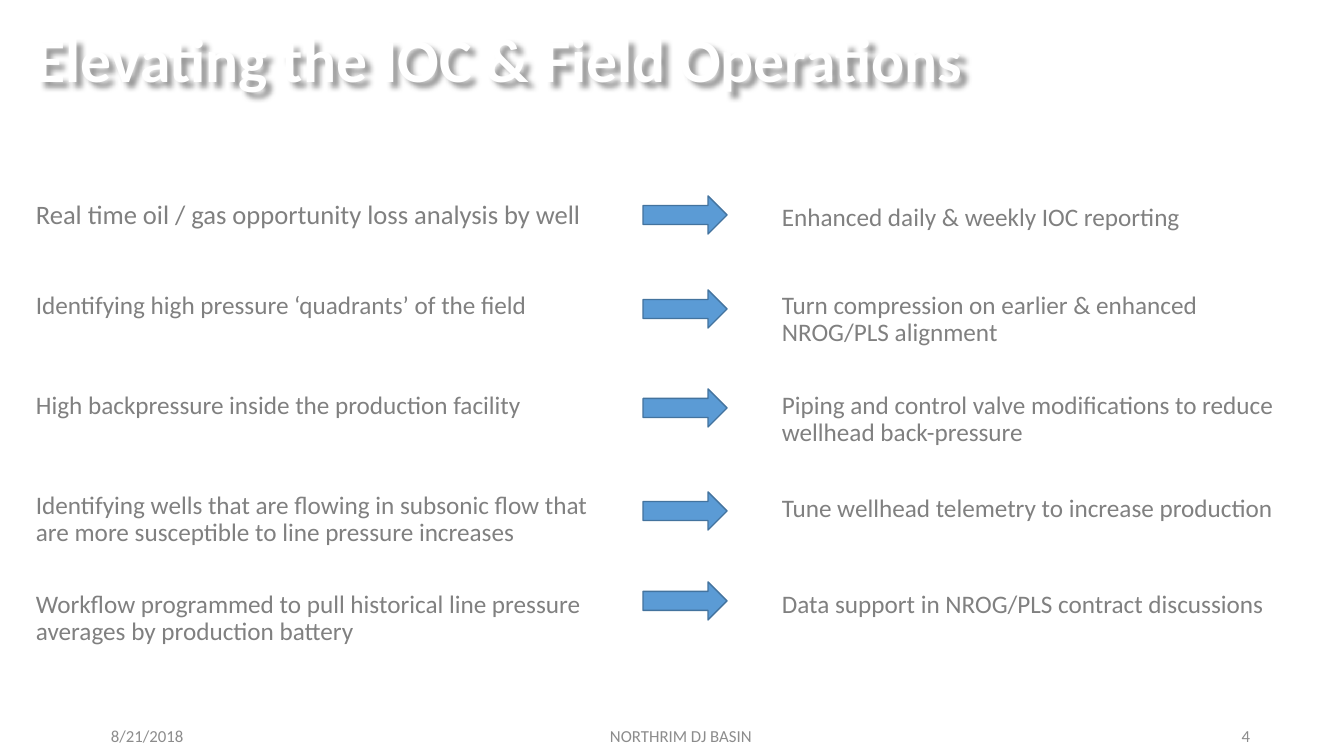
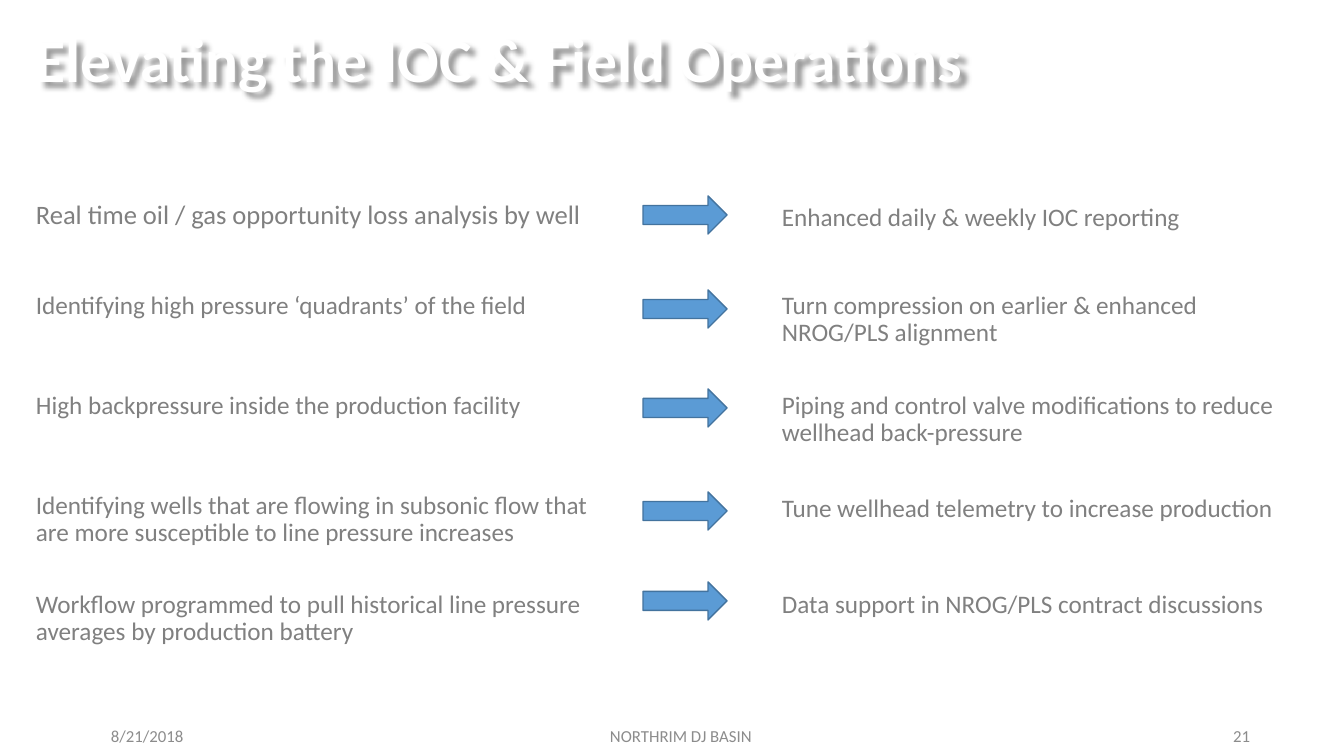
import pptx
import pptx.util
import pptx.oxml
import pptx.oxml.ns
import pptx.dml.color
import pptx.enum.shapes
import pptx.enum.text
import lxml.etree

# Shared look
COLORS = {
    "title": "FFFFFF",
    "body": "808080",
    "footer": "8C8C8C",
    "arrow": "5B9BD5",
    "edge": "43739E",
    "shadow": "000000",
}
FONT = "Calibri"
PX = 914400 / 100.8
ALIGN = pptx.enum.text.PP_ALIGN
ANCHOR = pptx.enum.text.MSO_ANCHOR

# Columns: left and width
CAUSE = (26, 572)
ARROW = (643, 84)
GAIN = (772, 525)

# Rows: cause top, arrow top, gain top, cause, gain
ROWS = [
    (197, 196, 200, "Real time oil / gas opportunity loss analysis by well",
     "Enhanced daily & weekly IOC reporting"),
    (288, 290, 288, "Identifying high pressure ‘quadrants’ of the field",
     "Turn compression on earlier & enhanced NROG/PLS alignment"),
    (388, 389, 388, "High backpressure inside the production facility",
     "Piping and control valve modifications to reduce wellhead back-pressure"),
    (488, 492, 491, "Identifying wells that are flowing in subsonic flow "
     "that are more susceptible to line pressure increases",
     "Tune wellhead telemetry to increase production"),
    (587, 582, 587, "Workflow programmed to pull historical line pressure "
     "averages by production battery",
     "Data support in NROG/PLS contract discussions"),
]


def px(count):
    return pptx.util.Emu(round(count * PX))


def color(name):
    return pptx.dml.color.RGBColor.from_string(COLORS[name])


def add_text(slide, text, left, top, width, height, size=18, tone="body",
             bold=False, align=ALIGN.LEFT, anchor=ANCHOR.TOP, spacing=0.9):
    box = slide.shapes.add_textbox(px(left), px(top), px(width), px(height))
    frame = box.text_frame
    frame.word_wrap = True
    frame.vertical_anchor = anchor
    para = frame.paragraphs[0]
    para.text = text
    para.alignment = align
    para.line_spacing = spacing
    para.font.name = FONT
    para.font.size = pptx.util.Pt(size)
    para.font.bold = bold
    para.font.color.rgb = color(tone)
    return box


def add_shadow(box):
    """Soft shadow to the lower right, cast by the text of an unfilled box."""
    box.shadow.inherit = False
    qn = pptx.oxml.ns.qn
    effects = box.element.spPr.find(qn("a:effectLst"))
    outer = lxml.etree.SubElement(effects, qn("a:outerShdw"), blurRad="50800",
                                  dist="50800", dir="2700000", algn="tl")
    shade = lxml.etree.SubElement(outer, qn("a:srgbClr"), val=COLORS["shadow"])
    lxml.etree.SubElement(shade, qn("a:alpha"), val="40000")


def add_arrow(slide, top):
    left, width = ARROW
    arrow = slide.shapes.add_shape(
        pptx.enum.shapes.MSO_SHAPE.RIGHT_ARROW,
        px(left), px(top), px(width), px(38))
    arrow.shadow.inherit = False
    arrow.fill.solid()
    arrow.fill.fore_color.rgb = color("arrow")
    arrow.line.color.rgb = color("edge")
    arrow.line.width = pptx.util.Pt(1)


def add_title(slide, text):
    add_shadow(add_text(slide, text, 26, 12, 1159, 102, size=44, tone="title",
                        bold=True, anchor=ANCHOR.MIDDLE))


def add_footer(slide, number):
    parts = [
        ("8/21/2018", 101, 302, ALIGN.LEFT),
        ("NORTHRIM DJ BASIN", 454, 454, ALIGN.CENTER),
        (str(number), 958, 302, ALIGN.RIGHT),
    ]
    for text, left, width, align in parts:
        add_text(slide, text, left, 716, width, 40, size=12, tone="footer",
                 align=align, anchor=ANCHOR.MIDDLE, spacing=1.0)


def add_row(slide, row, size):
    cause_top, arrow_top, gain_top, cause, gain = row
    add_text(slide, cause, CAUSE[0], cause_top, CAUSE[1], 65, size=size)
    add_arrow(slide, arrow_top)
    add_text(slide, gain, GAIN[0], gain_top, GAIN[1], 65)


def add_slide(deck, number):
    slide = deck.slides.add_slide(deck.slide_layouts[6])
    add_title(slide, "Elevating the IOC & Field Operations")
    for index, row in enumerate(ROWS):
        # The leading cause is a little larger
        add_row(slide, row, 19 if index == 0 else 18)
    add_footer(slide, number)


def main():
    deck = pptx.Presentation()
    deck.slide_width = px(1344)
    deck.slide_height = px(756)
    for number in (4, 21):
        add_slide(deck, number)
    deck.save("out.pptx")


if __name__ == "__main__":
    main()
